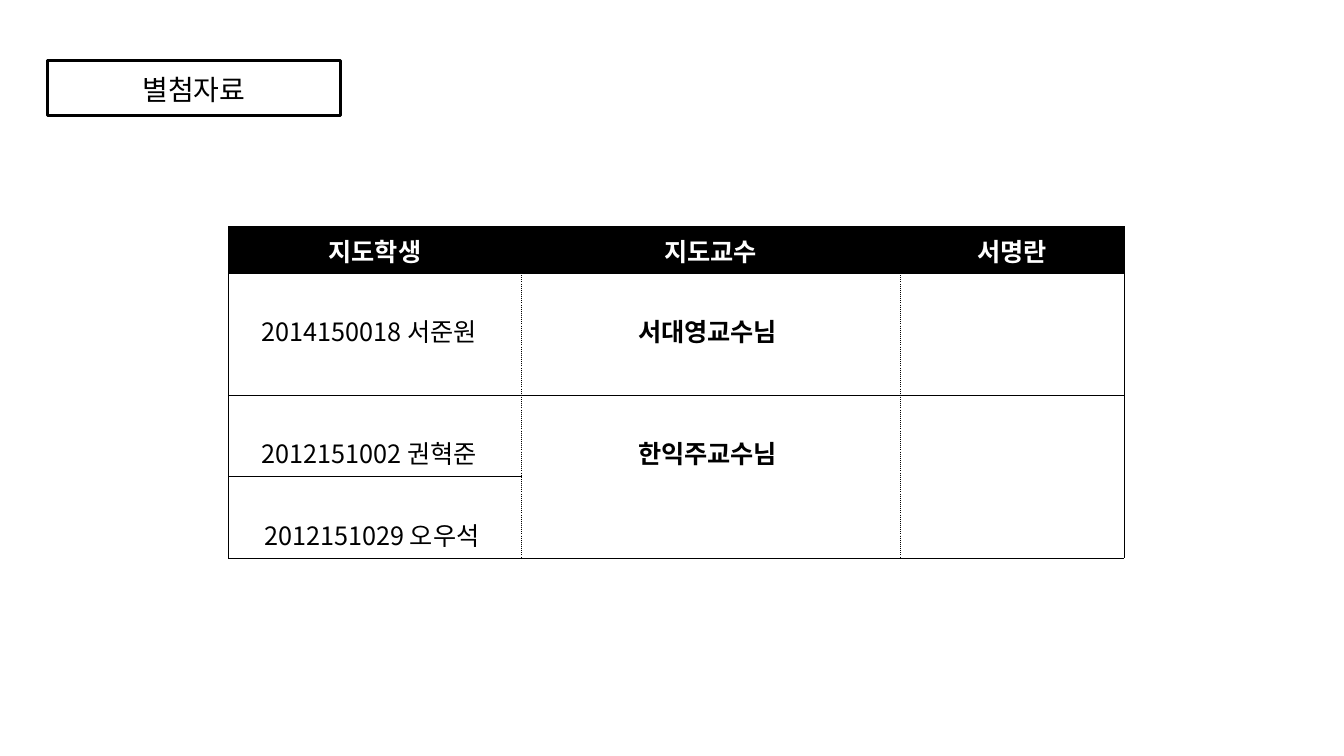
import dataclasses

import pptx
import pptx.dml.color
import pptx.enum.shapes
import pptx.enum.text
import pptx.oxml
import pptx.oxml.ns
import pptx.util


@dataclasses.dataclass(frozen=True)
class Theme:
    font: str = "Noto Sans CJK KR"
    ink: str = "000000"
    paper: str = "FFFFFF"
    title_size: int = 20
    table_size: int = 18
    thin: float = 0.5
    dotted: float = 1
    frame: float = 2


def rgb(value):
    return pptx.dml.color.RGBColor.from_string(value)


def apply(target, values):
    for name, value in values.items():
        setattr(target, name, value)


class Deck:
    columns, rows = 160, 90

    def __init__(self, prs, theme):
        self.prs, self.theme = prs, theme
        self.s = prs.slides.add_slide(prs.slide_layouts[6])

    def x(self, columns):
        return round(self.prs.slide_width * columns / self.columns)

    def y(self, rows):
        return round(self.prs.slide_height * rows / self.rows)

    def insets(self, left, top, right, bottom):
        names = ("margin_left", "margin_top", "margin_right", "margin_bottom")
        return dict(zip(names, map(pptx.util.Inches, (left, top, right, bottom))))

    def text(self, tf, text, size, color, bold=False, spacing=1.0):
        p = tf.paragraphs[0]
        apply(p, {"alignment": pptx.enum.text.PP_ALIGN.CENTER, "line_spacing": spacing})
        r = p.add_run()
        r.text = text
        apply(r.font, {"name": self.theme.font, "size": pptx.util.Pt(size), "bold": bold})
        r.font.color.rgb = rgb(color)
        ea = pptx.oxml.parse_xml(
            f'<a:ea {pptx.oxml.ns.nsdecls("a")} typeface="{self.theme.font}"/>')
        r.font._element.find(pptx.oxml.ns.qn("a:latin")).addnext(ea)

    def title_box(self, text, left, top, width, height):
        sp = self.s.shapes.add_shape(
            pptx.enum.shapes.MSO_SHAPE.RECTANGLE,
            self.x(left), self.y(top), self.x(width), self.y(height))
        sp.shadow.inherit = False
        sp.fill.solid()
        sp.fill.fore_color.rgb = rgb(self.theme.paper)
        color = sp._element.spPr.find(".//" + pptx.oxml.ns.qn("a:srgbClr"))
        color.append(pptx.oxml.parse_xml(
            f'<a:alpha {pptx.oxml.ns.nsdecls("a")} val="50000"/>'))
        sp.line.color.rgb = rgb(self.theme.ink)
        sp.line.width = pptx.util.Pt(self.theme.frame)
        tf = sp.text_frame
        apply(tf, {"word_wrap": True,
                   "vertical_anchor": pptx.enum.text.MSO_ANCHOR.MIDDLE,
                   **self.insets(0.1, 0.12, 0.1, 0.05)})
        self.text(tf, text, self.theme.title_size, self.theme.ink, spacing=0.9)

    def borders(self, cell, edges):
        tcPr = cell._tc.get_or_add_tcPr()
        for i, (edge, dotted) in enumerate(edges.items()):
            width = pptx.util.Pt(self.theme.dotted if dotted else self.theme.thin)
            dash = "sysDot" if dotted else "solid"
            tcPr.insert(i, pptx.oxml.parse_xml(
                f'<a:ln{edge} {pptx.oxml.ns.nsdecls("a")} w="{width}">'
                f'<a:solidFill><a:srgbClr val="{self.theme.ink}"/></a:solidFill>'
                f'<a:prstDash val="{dash}"/></a:ln{edge}>'))

    def table(self, data, left, top, widths, heights, merges):
        tbl = self.s.shapes.add_table(
            len(heights), len(widths), self.x(left), self.y(top),
            self.x(sum(widths)), self.y(sum(heights))).table
        apply(tbl, {"first_row": False, "horz_banding": False})
        for column, width in zip(tbl.columns, widths):
            column.width = self.x(width)
        for row, height in zip(tbl.rows, heights):
            row.height = self.y(height)
        for start, end in merges:
            tbl.cell(*start).merge(tbl.cell(*end))
        for i, row in enumerate(data):
            for j, text in enumerate(row):
                self.cell(tbl.cell(i, j), text, i == 0, j, len(widths) - 1)

    def cell(self, cell, text, header, column, last):
        if header:
            cell.fill.solid()
            cell.fill.fore_color.rgb = rgb(self.theme.ink)
        else:
            cell.fill.background()
        edges = {"L": not header and column > 0, "R": not header and column < last,
                 "T": False, "B": False}
        if cell.is_spanned:
            edges.pop("T")
        self.borders(cell, edges)
        if text:
            if not header:
                apply(cell, self.insets(0.04, 0.39, 0.1, 0.05))
            self.text(cell.text_frame, text, self.theme.table_size,
                      self.theme.paper if header else self.theme.ink,
                      bold=header or column == 1)


def main():
    prs = pptx.Presentation()
    apply(prs, {"slide_width": pptx.util.Inches(13.33),
                "slide_height": pptx.util.Inches(7.5)})
    deck = Deck(prs, Theme())
    deck.title_box("별첨자료", 5.64, 7.2, 34.93, 6.6)
    deck.table(
        [("지도학생", "지도교수", "서명란"),
         ("2014150018 서준원 ", "서대영교수님", ""),
         ("2012151002 권혁준 ", "한익주교수님", ""),
         ("2012151029 오우석", "", "")],
        left=27.24, top=27,
        widths=(34.8, 45.12, 26.64), heights=(5.5, 14.5, 9.7, 9.7),
        merges=[((2, j), (3, j)) for j in (1, 2)])
    prs.save("out.pptx")


if __name__ == "__main__":
    main()
